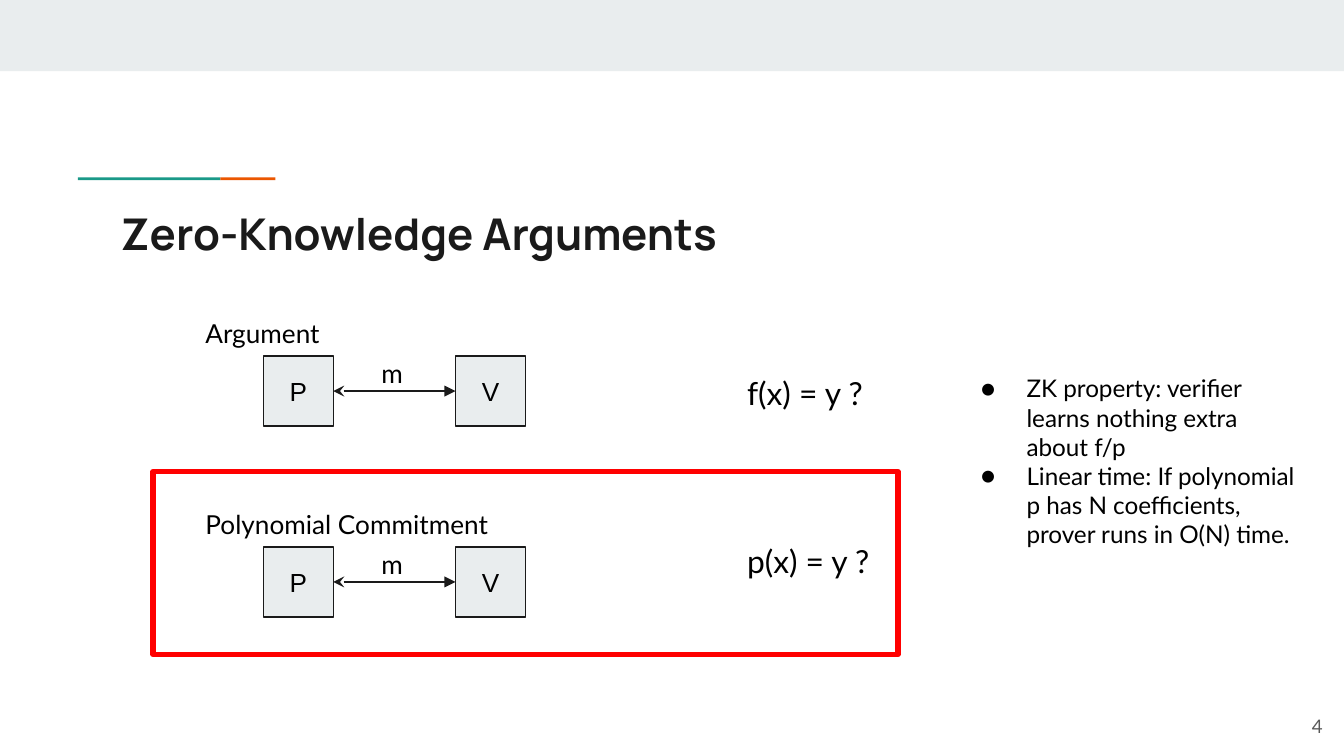
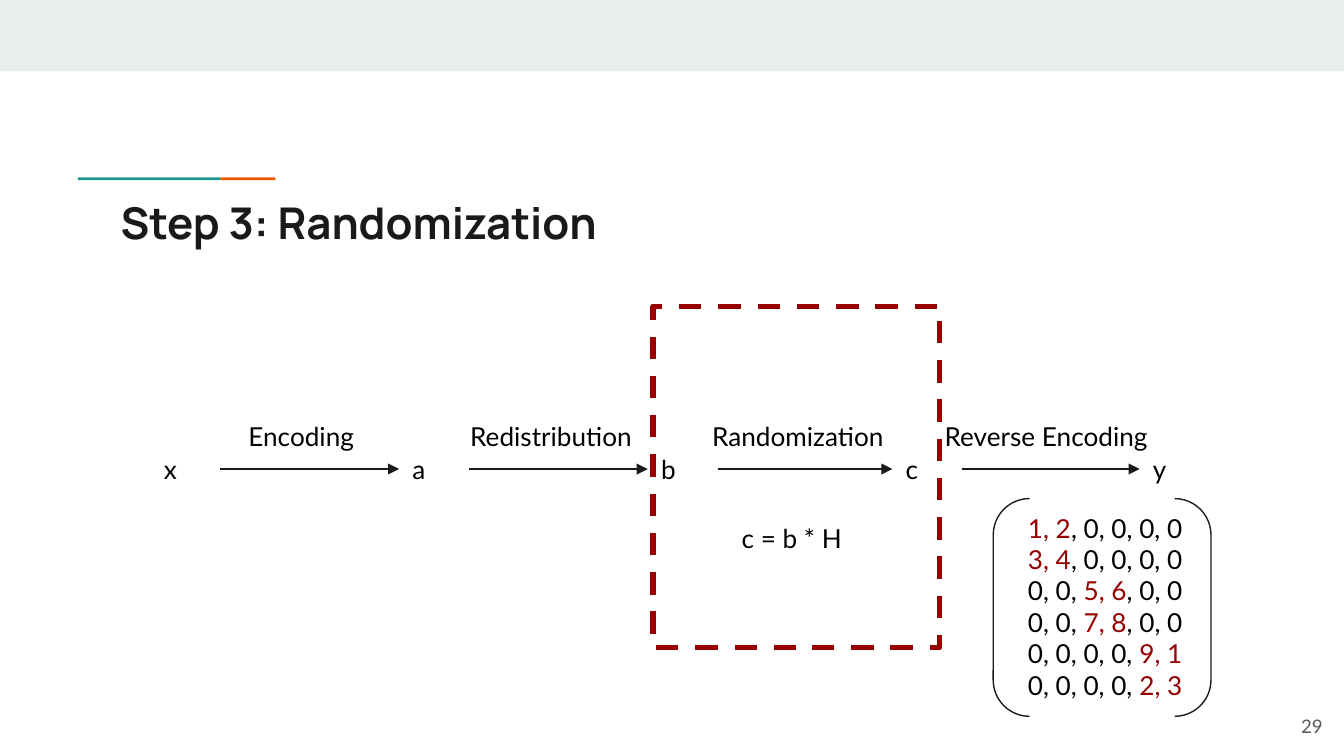
from lxml.etree import SubElement
from pptx import Presentation
from pptx.dml.color import RGBColor
from pptx.enum.dml import MSO_LINE_DASH_STYLE as Dash
from pptx.enum.shapes import MSO_CONNECTOR as Connector, MSO_SHAPE as Shape
from pptx.enum.text import MSO_ANCHOR as Anchor, PP_ALIGN as Align
from pptx.oxml.ns import qn
from pptx.util import Inches, Pt

INK, BLACK, GREY = "1A1A1A", "000000", "595959"
PALE, TEAL, ORANGE = "E9EDEE", "1A9988", "EB5600"
RED, DARK_RED = "FF0000", "980000"


def paint(color_format, color):
    """Set a fill, line fill or font colour from a hex string."""
    if hasattr(color_format, "solid"):
        color_format.solid()
        color_format = color_format.fore_color
    color_format.rgb = RGBColor.from_string(color)


def write(slide, text, left, top, width, height=0.44, *, size=14, font="Lato",
          color=BLACK, accent=DARK_RED, bold=False, align=Align.LEFT,
          anchor=Anchor.TOP, bullets=False, boxed=False):
    """Add text, one paragraph a line; pieces between bars take the accent."""
    place = [Inches(n) for n in (left, top, width, height)]
    if boxed:
        box = slide.shapes.add_shape(Shape.RECTANGLE, *place)
        box.shadow.inherit = False
        paint(box.fill, PALE)
        paint(box.line.fill, INK)
        box.line.width = Pt(0.75)
    else:
        box = slide.shapes.add_textbox(*place)
    frame = box.text_frame
    frame.word_wrap = True
    frame.vertical_anchor = anchor
    frame.margin_left = frame.margin_right = Inches(0.1)
    frame.margin_top = frame.margin_bottom = Inches(0.1)
    for row, line in enumerate(text.split("\n")):
        paragraph = frame.add_paragraph() if row else frame.paragraphs[0]
        paragraph.alignment = align
        if bullets:
            properties = paragraph._p.get_or_add_pPr()
            properties.set("marL", str(Inches(0.5)))
            properties.set("indent", str(Inches(-0.34)))
            bullet_color = SubElement(properties, qn("a:buClr"))
            SubElement(bullet_color, qn("a:srgbClr")).set("val", color)
            SubElement(properties, qn("a:buSzPts")).set("val", str(size * 100))
            SubElement(properties, qn("a:buFont")).set("typeface", font)
            SubElement(properties, qn("a:buChar")).set("char", "●")
        for part, piece in enumerate(line.split("|")):
            if piece:
                run = paragraph.add_run()
                run.text = piece
                run.font.size = Pt(size)
                run.font.name = font
                run.font.bold = bold
                paint(run.font.color, accent if part % 2 else color)
    return box


# 16:9 page
prs = Presentation()
prs.slide_width = Inches(10)
prs.slide_height = Inches(10) * 9 // 16
blank = prs.slide_layouts[6]
arguments = prs.slides.add_slide(blank)
randomization = prs.slides.add_slide(blank)

# Shared band, accent rule, title and page number
for slide, title, title_top, page in [
    (arguments, "Zero-Knowledge Arguments", 1.44, "4"),
    (randomization, "Step 3: Randomization", 1.36, "29"),
]:
    for left, top, width, height, color in [
        (0, 0, 10, 0.53, PALE),
        (0.58, 1.32, 1.06, 0.02, TEAL),
        (1.64, 1.32, 0.41, 0.02, ORANGE),
    ]:
        band = slide.shapes.add_shape(
            Shape.RECTANGLE, Inches(left), Inches(top), Inches(width), Inches(height))
        band.shadow.inherit = False
        paint(band.fill, color)
        band.line.fill.background()
    write(slide, title, 0.8, title_top, 8.41, 0.59,
          size=23.4, font="Manrope", color=INK, bold=True)
    write(slide, page, 9.34, 5.19, 0.6, 0.43, size=10, color=GREY,
          align=Align.RIGHT, anchor=Anchor.MIDDLE)

arrows = []  # slide, start, end, two-way

# Slide 1: prover and verifier in each protocol
for protocol, width, top, question, question_top in [
    ("Argument", 1.14, 2.26, "f(x) = y ?", 2.68),
    ("Polynomial Commitment", 2.48, 3.68, "p(x) = y ?", 3.93),
]:
    write(arguments, protocol, 1.43, top, width)
    prover, verifier = [
        write(arguments, role, left, top + 0.39, 0.52, 0.52, font="Arial",
              align=Align.CENTER, anchor=Anchor.MIDDLE, boxed=True)
        for role, left in [("P", 1.96), ("V", 3.39)]
    ]
    write(arguments, "m", 2.74, top + 0.3, 0.44)
    arrows.append((arguments, prover, verifier, True))
    write(arguments, question, 5.46, question_top, 1.48, 0.49, size=17)

write(arguments,
      "ZK property: verifier learns nothing extra about f/p\n"
      "Linear time: If polynomial p has N coefficients, prover runs in O(N) time.",
      7.04, 2.68, 2.76, 1.75, size=13, bullets=True)

# Slide 2: chain of vectors and the steps between them
vectors = [write(randomization, vector, left, 3.27, 0.52)
           for vector, left in zip("xabcy", (1.12, 2.97, 4.82, 6.64, 8.48))]
for start, end in zip(vectors, vectors[1:]):
    arrows.append((randomization, start, end, False))
for step, left, top, width in [
    ("Encoding", 1.75, 3.03, 1.06),
    ("Redistribution", 3.4, 3.03, 1.65),
    ("Randomization", 5.2, 3.03, 1.65),
    ("Reverse Encoding", 6.93, 3.03, 1.92),
    ("c = b * H", 5.42, 3.79, 1.1),
]:
    write(randomization, step, left, top, width)

# Block-diagonal matrix, two rows to a block
matrix_rows = []
for row, pair in enumerate(["1, 2", "3, 4", "5, 6", "7, 8", "9, 1", "2, 3"]):
    block = row // 2
    matrix_rows.append("0, 0, " * block + f"|{pair}|" + ", 0, 0" * (2 - block))
write(randomization, "\n".join(matrix_rows), 7.55, 3.71, 1.79, 1.62)

# Unfilled outlines: highlights and matrix brackets
for slide, kind, left, top, width, height, color, weight, dash in [
    (arguments, Shape.RECTANGLE, 1.14, 3.51, 5.54, 1.36, RED, 3, None),
    (randomization, Shape.RECTANGLE, 4.86, 2.28, 2.13, 2.54, DARK_RED, 3, Dash.DASH),
    (randomization, Shape.DOUBLE_BRACKET, 7.39, 3.71, 1.62, 1.62, INK, 0.75, None),
]:
    outline = slide.shapes.add_shape(
        kind, Inches(left), Inches(top), Inches(width), Inches(height))
    outline.shadow.inherit = False
    outline.fill.background()
    paint(outline.line.fill, color)
    outline.line.width = Pt(weight)
    if dash:
        outline.line.dash_style = dash
    SubElement(outline._element.spPr.find(qn("a:ln")), qn("a:round"))

# Arrows from right side to left side
for slide, start, end, two_way in arrows:
    arrow = slide.shapes.add_connector(Connector.STRAIGHT, 0, 0, 0, 0)
    arrow.begin_connect(start, 3)
    arrow.end_connect(end, 1)
    paint(arrow.line.fill, INK)
    arrow.line.width = Pt(0.75)
    properties = arrow._element.spPr
    line = properties.find(qn("a:ln"))
    if two_way:
        SubElement(line, qn("a:headEnd")).set("type", "stealth")
    SubElement(line, qn("a:tailEnd")).set("type", "triangle")
    SubElement(properties, qn("a:effectLst"))

prs.save("out.pptx")
